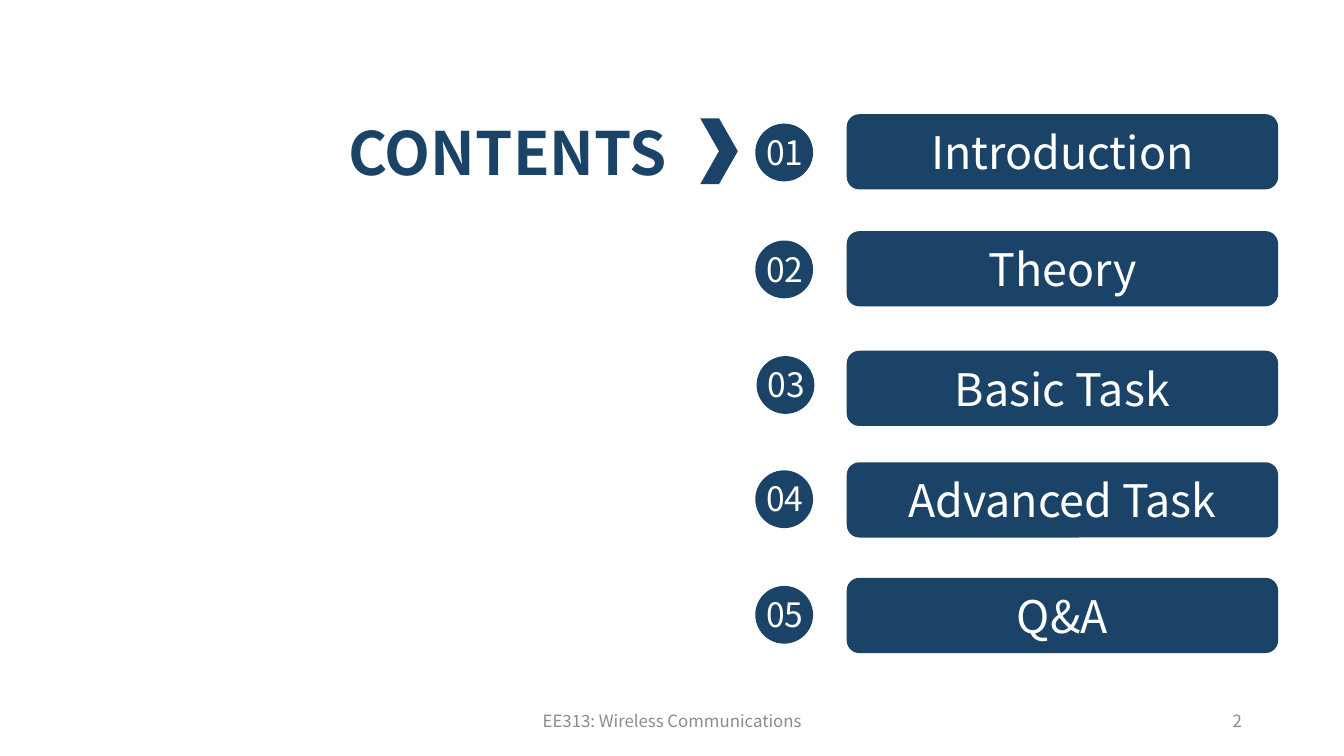
from pptx import Presentation
from pptx.dml.color import RGBColor
from pptx.enum.shapes import MSO_SHAPE
from pptx.enum.text import MSO_ANCHOR, MSO_AUTO_SIZE, PP_ALIGN
from pptx.util import Inches, Pt

NAVY = RGBColor(0x1B, 0x43, 0x67)
WHITE = RGBColor(0xFF, 0xFF, 0xFF)
GRAY = RGBColor(0x8C, 0x8C, 0x8C)
FONT = "Noto Sans CJK SC"

FRAME_FORMAT = {
    "word_wrap": True,
    "auto_size": MSO_AUTO_SIZE.NONE,
    "vertical_anchor": MSO_ANCHOR.MIDDLE,
    "margin_top": Inches(0.04),
    "margin_bottom": Inches(0.04),
}

SECTIONS = [
    ("Introduction", 0.85, 5.62, 0.92),
    ("Theory", 1.72, 5.62, 1.79),
    ("Basic Task", 2.61, 5.63, 2.65),
    ("Advanced Task", 3.44, 5.62, 3.5),
    ("Q&A", 4.3, 5.62, 4.36),
]


def apply_format(target, values):
    for name, value in values.items():
        setattr(target, name, value)


def write_text(holder, text, size, color, align=PP_ALIGN.CENTER, bold=False, side=0.1):
    frame = holder.text_frame
    apply_format(frame, FRAME_FORMAT)
    apply_format(frame, {"margin_left": Inches(side), "margin_right": Inches(side)})
    paragraph = frame.paragraphs[0]
    paragraph.alignment = align
    run = paragraph.add_run()
    run.text = text
    apply_format(run.font, {"name": FONT, "size": Pt(size), "bold": bold})
    run.font.color.rgb = color


def add_navy_shape(shapes, preset, left, top, width, height):
    shape = shapes.add_shape(
        preset, Inches(left), Inches(top), Inches(width), Inches(height)
    )
    shape.shadow.inherit = False
    shape.fill.solid()
    shape.fill.fore_color.rgb = NAVY
    shape.line.fill.background()
    return shape


def add_label(shapes, text, left, top, width, height, size, color, **options):
    label = shapes.add_textbox(
        Inches(left), Inches(top), Inches(width), Inches(height)
    )
    write_text(label, text, size, color, **options)


def add_heading(slide, text):
    heading = slide.shapes.title
    place = {"left": 2.49, "top": 0.81, "width": 2.71, "height": 0.64}
    apply_format(heading, {name: Inches(value) for name, value in place.items()})
    write_text(heading, text, 32, NAVY, align=PP_ALIGN.LEFT, bold=True)


def add_badge(slide, number, left, top):
    badge = slide.shapes.add_group_shape().shapes
    add_navy_shape(badge, MSO_SHAPE.OVAL, left, top, 0.43, 0.43)
    add_label(badge, f"{number:02d}", left - 0.04, top + 0.01, 0.52, 0.4, 18, WHITE)


def add_section(slide, number, name, bar_top, badge_left, badge_top):
    bar = add_navy_shape(
        slide.shapes, MSO_SHAPE.ROUNDED_RECTANGLE, 6.3, bar_top, 3.21, 0.56
    )
    write_text(bar, name, 24, WHITE)
    add_badge(slide, number, badge_left, badge_top)


def add_footer(slide):
    add_label(slide.shapes, "EE313: Wireless Communications",
              3.31, 5.21, 3.38, 0.3, 9, GRAY, side=0.07)
    add_label(slide.shapes, "2", 7.06, 5.21, 2.25, 0.3, 9, GRAY,
              align=PP_ALIGN.RIGHT, side=0.07)


def main():
    deck = Presentation()
    deck.slide_width = Inches(10)
    deck.slide_height = deck.slide_width * 9 // 16
    slide = deck.slides.add_slide(deck.slide_layouts[5])
    add_heading(slide, "CONTENTS")
    add_navy_shape(slide.shapes, MSO_SHAPE.CHEVRON, 5.21, 0.88, 0.28, 0.49)
    for number, section in enumerate(SECTIONS, start=1):
        add_section(slide, number, *section)
    add_footer(slide)
    deck.save("out.pptx")


if __name__ == "__main__":
    main()
